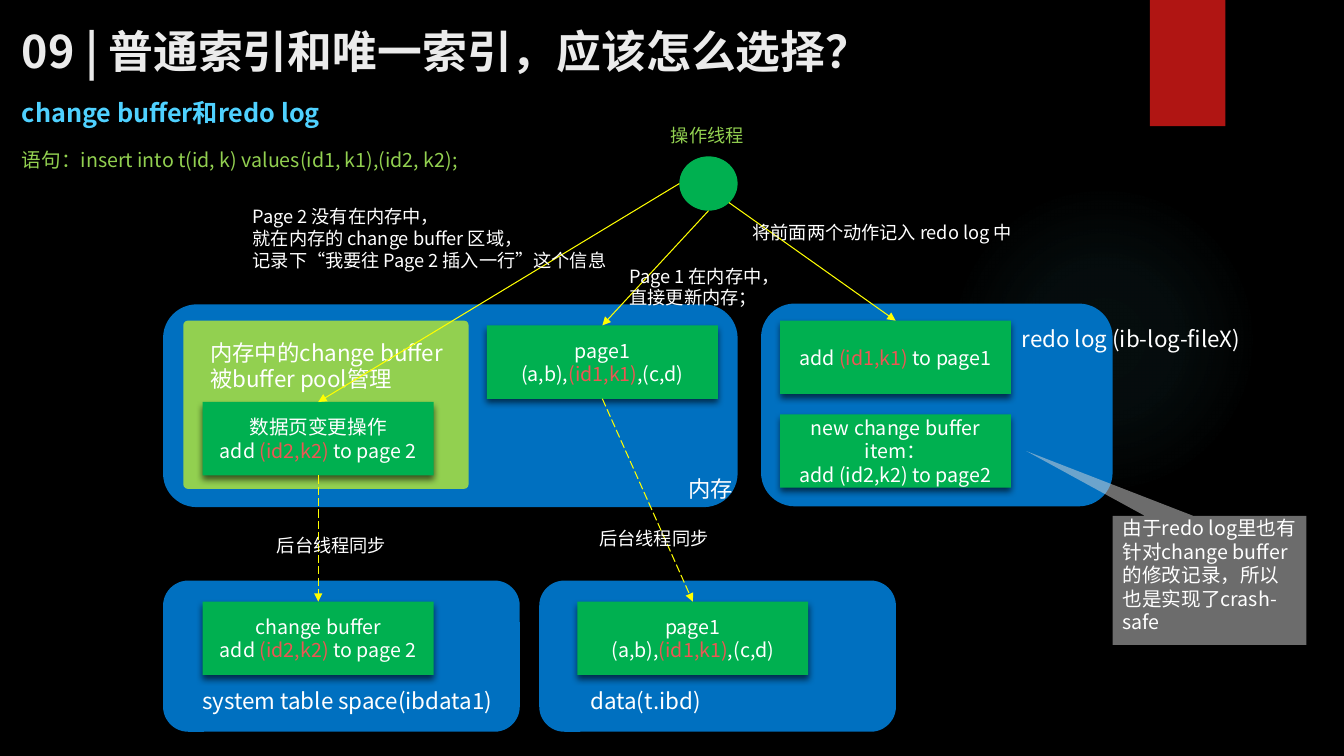
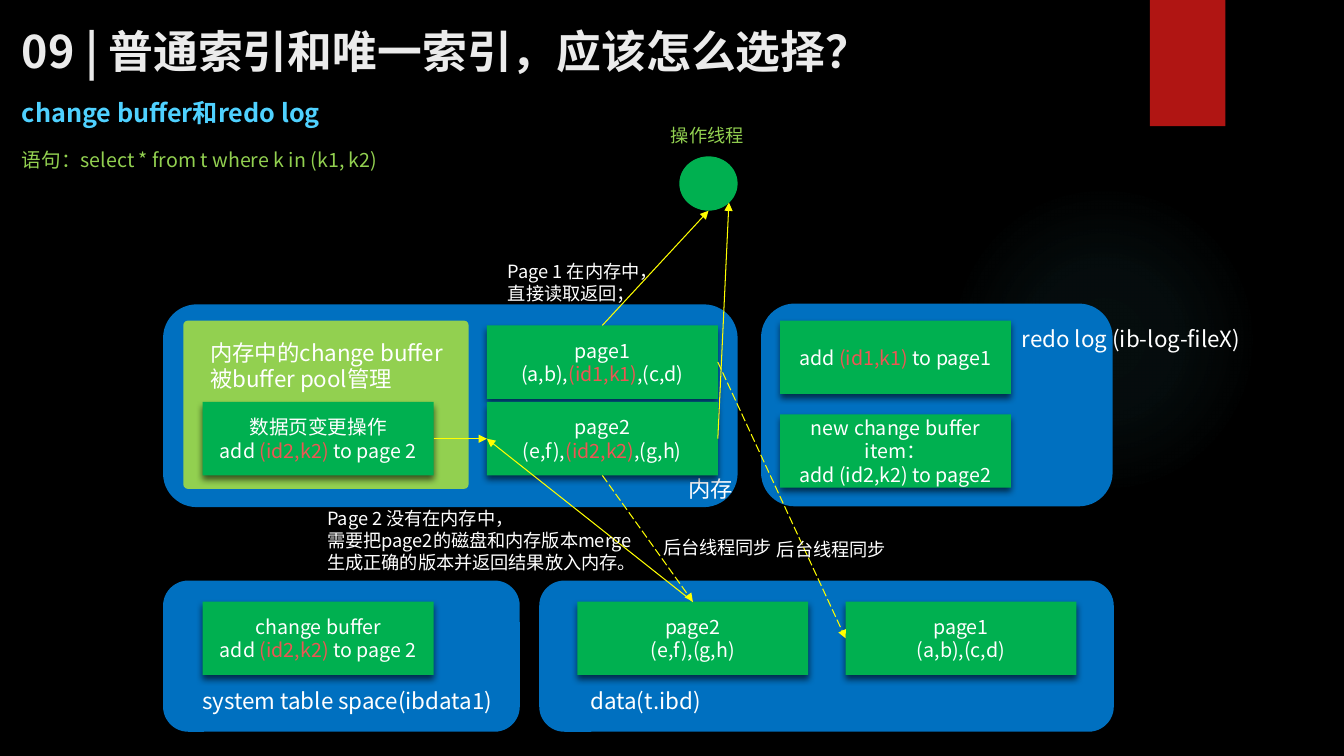
"""Build two slides on how the change buffer and the redo log work together."""
from lxml.etree import SubElement as Sub
from pptx import Presentation
from pptx.dml.color import RGBColor as RGB
from pptx.enum.dml import MSO_LINE as Dash
from pptx.enum.shapes import MSO_CONNECTOR as Conn, MSO_SHAPE as Kind
from pptx.enum.text import MSO_ANCHOR as Anchor, MSO_AUTO_SIZE as Fit, PP_ALIGN as Align
from pptx.oxml import parse_xml as to_xml
from pptx.oxml.ns import nsdecls, qn
from pptx.util import Cm, Pt

FONT = "Noto Sans CJK SC"
BLACK = RGB(0x00, 0x00, 0x00)
WHITE = RGB(0xFF, 0xFF, 0xFF)
CHALK = RGB(0xEB, 0xEB, 0xEB)
SKY = RGB(0x4F, 0xD1, 0xFF)
LIME = RGB(0x92, 0xD0, 0x50)
GREEN = RGB(0x00, 0xB0, 0x50)
BLUE = RGB(0x00, 0x70, 0xC0)
RED = RGB(0xED, 0x56, 0x54)
BAND = RGB(0xB0, 0x15, 0x13)
GLOW = RGB(0x50, 0xB9, 0xC1)
GREY = RGB(0xD9, 0xD9, 0xD9)
YELLOW = RGB(0xFF, 0xFF, 0x00)

BOX_W, BOX_H = 5.82, 1.85
LEFT, MID, RIGHT = 5.11, 12.27, 19.66
DISK_A, DISK_B = 14.55, 21.31
TOP, LOW, DISK = 8.2, 10.13, 15.16
ABOVE, BELOW, WEST, EAST = (0.5, 0), (0.5, 1), (0, 0.5), (1, 0.5)
CORNER = (0.85, 0.85)
SYNC = "后台线程同步"


def write(frame, text, size=14, color=WHITE, bold=False, align=Align.LEFT):
    frame.word_wrap = True
    for row, line in enumerate(text.split("\n")):
        para = frame.add_paragraph() if row else frame.paragraphs[0]
        para.alignment = align
        for turn, part in enumerate(line.split("~")):
            if not part:
                continue
            run = para.add_run()
            run.text = part
            font = run.font
            font.size, font.bold, font.name = Pt(size), bold, FONT
            font.color.rgb = RED if turn % 2 else color
            Sub(run._r.get_or_add_rPr(), qn("a:ea"), typeface=FONT)


def form(slide, kind, x, y, w, h, fill):
    shape = slide.shapes.add_shape(kind, Cm(x), Cm(y), Cm(w), Cm(h))
    shape.fill.solid()
    shape.fill.fore_color.rgb = fill
    shape.line.fill.background()
    shape.shadow.inherit = False
    return shape


def shade(shape, blur, drop, alpha):
    shadow = Sub(shape.element.spPr.find(qn("a:effectLst")), qn("a:outerShdw"),
                 blurRad=str(Pt(blur)), dist=str(Pt(drop)), dir="5400000", rotWithShape="0")
    tint = Sub(shadow, qn("a:srgbClr"), val=str(BLACK))
    Sub(tint, qn("a:alpha"), val=str(alpha * 1000))


def panel(slide, x, y, w, h, fill=BLUE):
    return form(slide, Kind.ROUNDED_RECTANGLE, x, y, w, h, fill)


def box(slide, x, y, text):
    shape = form(slide, Kind.RECTANGLE, x, y, BOX_W, BOX_H, GREEN)
    shade(shape, 5, 3, 60)
    shape.text_frame.vertical_anchor = Anchor.MIDDLE
    write(shape.text_frame, text, align=Align.CENTER)
    return shape


def label(slide, x, y, w, text, size=13, **style):
    high = 0.25 + 0.043 * size * len(text.split("\n"))
    frame = slide.shapes.add_textbox(Cm(x), Cm(y), Cm(w), Cm(high)).text_frame
    frame.auto_size = Fit.SHAPE_TO_FIT_TEXT
    write(frame, text, size=size, **style)


def spot(shape, place):
    across, down = place
    return (int(shape.left + shape.width * across),
            int(shape.top + shape.height * down))


def arrow(slide, start, leave, end, reach, dashed=False):
    link = slide.shapes.add_connector(
        Conn.STRAIGHT, *spot(start, leave), *spot(end, reach))
    link.line.color.rgb = YELLOW
    link.line.width = Pt(0.75)
    if dashed:
        link.line.dash_style = Dash.LONG_DASH
    props = link.element.spPr
    Sub(props.find(qn("a:ln")), qn("a:tailEnd"), type="triangle")
    Sub(props, qn("a:effectLst"))


def callout(slide, x, y, w, h, text):
    shape = form(slide, Kind.RECTANGULAR_CALLOUT, x, y, w, h, GREY)
    shape.adjustments[0], shape.adjustments[1] = -0.945, -1.002
    tint = shape.element.spPr.find(qn("a:solidFill")).find(qn("a:srgbClr"))
    Sub(tint, qn("a:alpha"), val="50000")
    shape.text_frame.vertical_anchor = Anchor.TOP
    shape.text_frame.margin_top = 0
    write(shape.text_frame, text)


def glow(slide):
    shape = form(slide, Kind.OVAL, 23.9, 4.65, 7.82, 7.82, GLOW)
    stops = "".join(
        f'<a:gs pos="{pos}000"><a:srgbClr val="{GLOW}">'
        f'<a:alpha val="{alpha}000"/></a:srgbClr></a:gs>'
        for pos, alpha in ((0, 7), (36, 6), (69, 0)))
    blend = to_xml(
        f'<a:gradFill {nsdecls("a")}><a:gsLst>{stops}</a:gsLst><a:path path="circle">'
        '<a:fillToRect l="50000" t="50000" r="50000" b="50000"/></a:path></a:gradFill>')
    props = shape.element.spPr
    props.replace(props.find(qn("a:solidFill")), blend)
    return shape


def dress(layout, slide):
    layout.background.fill.solid()
    layout.background.fill.fore_color.rgb = BLACK
    band = form(slide, Kind.RECTANGLE, 28.98, 0, 1.9, 3.18, BAND)
    shade(band, 3, 2, 45)
    for shape in (glow(slide), band):
        layout.shapes.element.append(shape.element)


def scene(slide, query, wide, room):
    title = slide.shapes.title
    title.left, title.top, title.width, title.height = Cm(0.3), Cm(0.43), Cm(30.96), Cm(1.68)
    title.text_frame.vertical_anchor = Anchor.MIDDLE
    write(title.text_frame, "09 | 普通索引和唯一索引，应该怎么选择？", size=32, color=CHALK, bold=True)
    label(slide, 0.3, 2.34, 8.41, "change buffer和redo log", size=18, color=SKY, bold=True)
    label(slide, 0.3, 3.61, wide, "语句：" + query, size=14, color=LIME)

    panel(slide, 19.18, 7.65, 8.86, 5.11)
    panel(slide, 4.11, 7.67, 14.48, 5.11)
    pool = panel(slide, 4.62, 8.08, 7.19, 4.24, fill=LIME)
    pool.adjustments[0] = 0.027
    panel(slide, 4.11, 14.63, 8.99, 3.81)
    panel(slide, 13.59, 14.63, room, 3.81)

    for x, y, w, text in (
            (17.09, 11.84, 2.03, "内存"),
            (5.05, 8.41, 6.6, "内存中的change buffer\n被buffer pool管理"),
            (25.5, 8.08, 6.63, "redo log (ib-log-fileX)"),
            (4.85, 17.2, 10.34, "system table space(ibdata1)"),
            (14.63, 17.2, 3.56, "data(t.ibd)")):
        label(slide, x, y, w, text, size=16)

    change = box(slide, LEFT, LOW, "数据页变更操作\nadd ~(id2,k2) ~to page 2")
    page = box(slide, MID, TOP, "page1\n(a,b),~(id1,k1)~,(c,d)")
    log = box(slide, RIGHT, 8.08, "add ~(id1,k1)~ to page1")
    box(slide, RIGHT, 10.44, "new change buffer item：\nadd (id2,k2) to page2")
    store = box(slide, LEFT, DISK, "change buffer\nadd ~(id2,k2) ~to page 2")
    thread = form(slide, Kind.OVAL, 17.12, 3.94, 1.47, 1.37, GREEN)
    label(slide, 16.66, 3, 2.36, "操作线程", color=LIME)
    return change, page, log, store, thread


def insert(slide):
    change, page, log, store, thread = scene(
        slide, "insert into t(id, k) values(id1, k1),(id2, k2);", 24.66, 8.99)
    data = box(slide, DISK_A, DISK, "page1\n(a,b),~(id1,k1)~,(c,d)")
    arrow(slide, thread, BELOW, page, ABOVE)
    arrow(slide, thread, WEST, change, ABOVE)
    arrow(slide, thread, CORNER, log, ABOVE)
    arrow(slide, page, BELOW, data, ABOVE, dashed=True)
    arrow(slide, change, BELOW, store, ABOVE, dashed=True)
    label(slide, 15.62, 6.55, 4.47, "Page 1 在内存中，\n直接更新内存；")
    label(slide, 6.12, 5.05, 9.7, "Page 2 没有在内存中，\n就在内存的 change buffer 区域，\n"
          "记录下“我要往 Page 2 插入一行”这个信息")
    label(slide, 18.72, 5.44, 7.29, "将前面两个动作记入 redo log 中")
    label(slide, 6.73, 13.34, 3.3, SYNC)
    label(slide, 14.86, 13.16, 3.3, SYNC)
    callout(slide, 28.04, 13, 4.88, 3.25,
            "由于redo log里也有针对change buffer的修改记录，所以也是实现了crash-safe")


def select(slide):
    change, page, _, _, thread = scene(
        slide, "select * from t where k in (k1, k2)", 11, 14.48)
    merged = box(slide, MID, LOW, "page2\n(e,f),~(id2,k2)~,(g,h)")
    second = box(slide, DISK_A, DISK, "page2\n(e,f),(g,h)")
    first = box(slide, DISK_B, DISK, "page1\n(a,b),(c,d)")
    arrow(slide, page, ABOVE, thread, BELOW)
    arrow(slide, change, EAST, merged, WEST)
    arrow(slide, second, ABOVE, merged, WEST)
    arrow(slide, merged, EAST, thread, CORNER)
    arrow(slide, merged, BELOW, second, ABOVE, dashed=True)
    arrow(slide, page, EAST, first, WEST, dashed=True)
    label(slide, 12.55, 6.43, 4.47, "Page 1 在内存中，\n直接读取返回；")
    label(slide, 8, 12.67, 8.41, "Page 2 没有在内存中，\n需要把page2的磁盘和内存版本merge\n"
          "生成正确的版本并返回结果放入内存。")
    label(slide, 16.46, 13.39, 3.3, SYNC)
    label(slide, 19.33, 13.44, 3.3, SYNC)


def main():
    deck = Presentation()
    deck.slide_width, deck.slide_height = Cm(33.87), Cm(19.05)
    layout = deck.slide_layouts[5]
    slides = [deck.slides.add_slide(layout) for _ in range(2)]
    dress(layout, slides[0])
    for draw, slide in zip((insert, select), slides):
        draw(slide)
    deck.save("out.pptx")


main()
